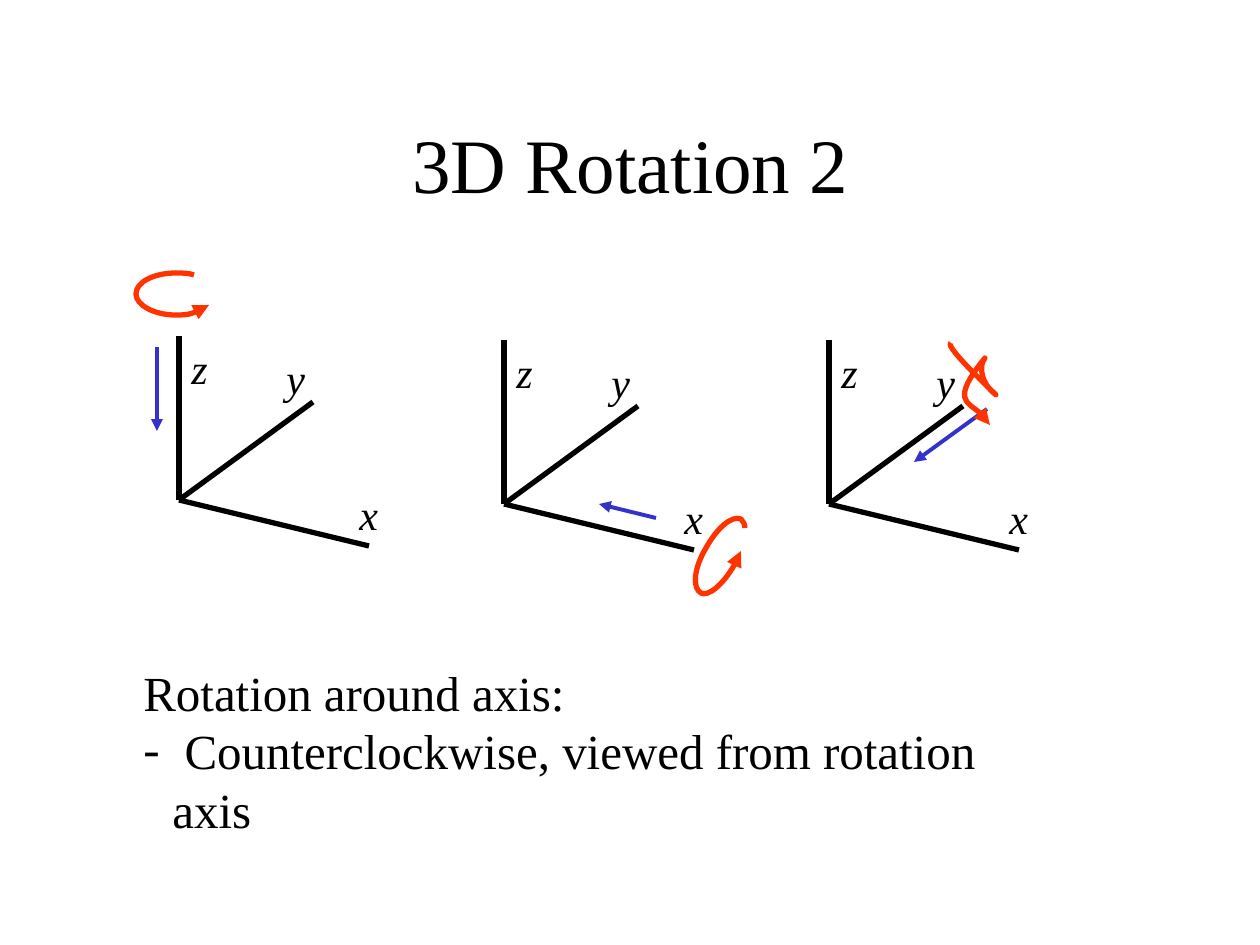
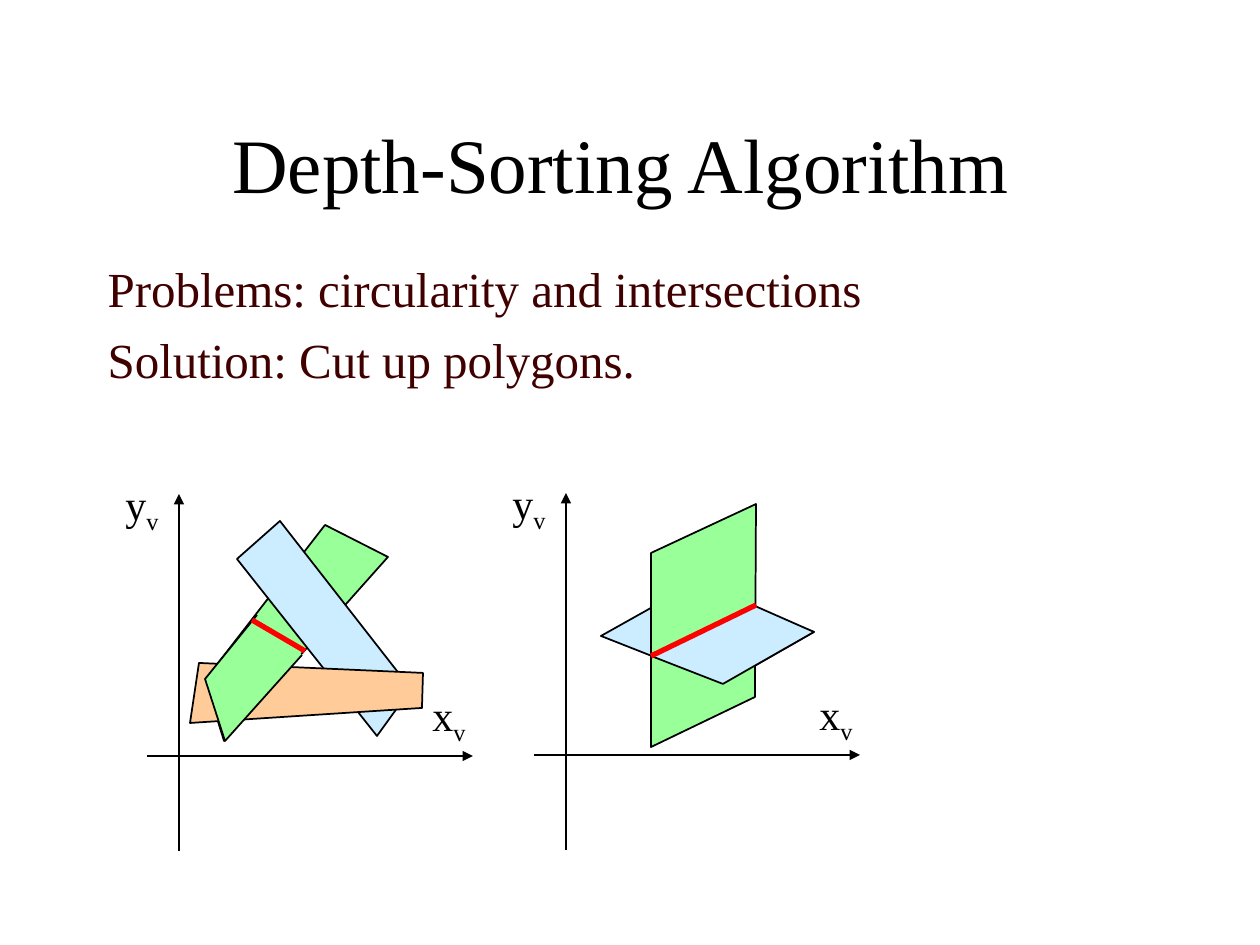
from dataclasses import dataclass

from lxml import etree
from pptx import Presentation
from pptx import util as u
from pptx.dml.color import RGBColor
from pptx.enum import shapes, text
from pptx.oxml import ns

PX = 914400 / 126  # EMU in one px


@dataclass(frozen=True)
class Theme:
    font: str = "Times New Roman"
    ink: str = "000000"
    body: str = "400000"
    view: str = "3333CC"
    turn: str = "FF3300"
    cut: str = "FF0000"
    blue: str = "CCECFF"
    green: str = "99FF99"
    orange: str = "FFCC99"
    title_pt: int = 44
    text_pt: int = 28
    label_pt: int = 24
    thin: float = 1
    medium: float = 2.25
    thick: float = 3


T = Theme()


def emu(*lengths):
    return [u.Emu(round(n * PX)) for n in lengths]


# Shared parts
def add_run(p, words, size, color=T.ink, italic=False, baseline=None):
    r = p.add_run()
    r.text = words
    r.font.name = T.font
    r.font.size = u.Pt(size)
    r.font.italic = italic
    r.font.color.rgb = RGBColor.from_string(color)
    if baseline:
        r.font._element.set("baseline", str(baseline))


def place(sp, box):
    sp.left, sp.top, sp.width, sp.height = emu(*box)


def set_title(slide, words):
    sp = slide.shapes.title
    place(sp, (95, 84, 1071, 158))
    tf = sp.text_frame
    tf.auto_size = text.MSO_AUTO_SIZE.NONE
    tf.vertical_anchor = text.MSO_ANCHOR.MIDDLE
    p = tf.paragraphs[0]
    p.alignment = text.PP_ALIGN.CENTER
    add_run(p, words, T.title_pt)


def add_label(slide, box, letter, subscript=None, italic=False):
    tf = slide.shapes.add_textbox(*emu(*box)).text_frame
    tf.word_wrap = False
    p = tf.paragraphs[0]
    add_run(p, letter, T.label_pt, italic=italic)
    if subscript:
        p.alignment = text.PP_ALIGN.CENTER
        add_run(p, subscript, T.label_pt, baseline=-25000)


def set_line(sp, color, weight, arrow=None):
    """Style a line; arrow is headEnd or tailEnd."""
    sp.line.color.rgb = RGBColor.from_string(color)
    sp.line.width = u.Pt(weight)
    if arrow:
        ln = sp.line._get_or_add_ln()
        etree.SubElement(ln, ns.qn("a:" + arrow), type="triangle")


def add_line(slide, origin, start, end, color, weight, arrow=None):
    x, y = origin
    ends = emu(x + start[0], y + start[1], x + end[0], y + end[1])
    sp = slide.shapes.add_connector(shapes.MSO_CONNECTOR.STRAIGHT, *ends)
    set_line(sp, color, weight, arrow)
    etree.SubElement(sp._element.spPr, ns.qn("a:effectLst"))


def add_outline(slide, origin, points, close):
    x, y = origin
    moved = [(x + dx, y + dy) for dx, dy in points]
    builder = slide.shapes.build_freeform(*moved[0], scale=PX)
    builder.add_line_segments(moved[1:], close=close)
    sp = builder.convert_to_shape()
    sp.shadow.inherit = False
    return sp


def add_polygon(slide, origin, points, fill, close=True):
    sp = add_outline(slide, origin, points, close)
    sp.fill.solid()
    sp.fill.fore_color.rgb = RGBColor.from_string(fill)
    set_line(sp, T.ink, T.thin)


def add_curve(slide, origin, points, arrow):
    """Draw a start point followed by triples of Bezier points."""
    sp = add_outline(slide, origin, points, False)
    sp.fill.background()
    set_line(sp, T.turn, T.thick, arrow)
    segments = list(sp._element.iter(ns.qn("a:lnTo")))
    for i in range(0, len(segments), 3):
        bezier = etree.Element(ns.qn("a:cubicBezTo"))
        segments[i].addprevious(bezier)
        for segment in segments[i:i + 3]:
            bezier.append(segment[0])
            segment.getparent().remove(segment)


# Slide 1: rotation about each axis
AXIS_TIPS = [(0, -164), (190, 46), (134, -98)]
AXIS_LABELS = [("z", (0, -164, 42, 63)), ("x", (168, -18, 44, 63)),
               ("y", (95, -154, 44, 63))]
# origin, viewing arrow, rotation curve, arrowhead end
ROTATIONS = [
    ((179, 500), ((-22, -153), (-22, -69)),
     [(30, -195), (23, -189), (10, -185), (-3, -185),
      (-25, -185), (-43, -195), (-43, -206),
      (-43, -218), (-25, -227), (-3, -227),
      (3, -227), (10, -227), (15, -225)], "headEnd"),
    ((504, 504), ((152, 14), (95, 0)),
     [(237, 47), (236, 51), (233, 55), (231, 60),
      (219, 81), (204, 93), (197, 89),
      (188, 84), (190, 64), (202, 44),
      (213, 24), (228, 11), (237, 15),
      (239, 17), (241, 20), (241, 24)], "headEnd"),
    ((829, 504), ((158, -95), (85, -42)),
     [(122, -161), (113, -159), (175, -102), (166, -110),
      (153, -120), (149, -137), (156, -146),
      (121, -103), (139, -102), (151, -91),
      (156, -87), (159, -83), (161, -79)], "tailEnd"),
]


def add_rotation(slide, origin, view, curve, arrow):
    for tip in AXIS_TIPS:
        add_line(slide, origin, (0, 0), tip, T.ink, T.thick)
    for letter, (dx, dy, w, h) in AXIS_LABELS:
        add_label(slide, (origin[0] + dx, origin[1] + dy, w, h), letter,
                  italic=True)
    add_line(slide, origin, *view, T.view, T.medium, "tailEnd")
    add_curve(slide, origin, curve, arrow)


def add_rotation_note(slide, box):
    tf = slide.shapes.add_textbox(*emu(*box)).text_frame
    tf.word_wrap = True
    add_run(tf.paragraphs[0], "Rotation around axis:", T.text_pt)
    p = tf.add_paragraph()
    pPr = p._p.get_or_add_pPr()
    indent = emu(29)[0]
    pPr.set("marL", str(indent))
    pPr.set("indent", str(-indent))
    etree.SubElement(pPr, ns.qn("a:buFont"), typeface=T.font)
    etree.SubElement(pPr, ns.qn("a:buChar"), char="-")
    add_run(p, " Counterclockwise, viewed from rotation axis", T.text_pt)


def rotation_slide(prs):
    slide = prs.slides.add_slide(prs.slide_layouts[5])
    set_title(slide, "3D Rotation 2")
    for rotation in ROTATIONS:
        add_rotation(slide, *rotation)
    add_rotation_note(slide, (131, 656, 935, 190))


# Slide 2: polygons that cannot be sorted by depth
def add_view_axes(slide, origin):
    x, y = origin
    add_line(slide, origin, (-32, 0), (294, 0), T.ink, T.thin, "tailEnd")
    add_line(slide, origin, (0, -262), (0, 95), T.ink, T.thin, "headEnd")
    add_label(slide, (x + 241, y - 73, 58, 71), "x", "v")
    add_label(slide, (x - 66, y - 284, 58, 71), "y", "v")


def add_circularity(slide, origin):
    add_view_axes(slide, origin)
    add_polygon(slide, origin,
                [(146, -231), (26, -76), (45, -15), (209, -199)], T.green)
    add_polygon(slide, origin,
                [(58, -197), (198, -20), (232, -67), (101, -235)], T.blue)
    add_polygon(slide, origin,
                [(11, -33), (243, -48), (244, -83), (20, -93)], T.orange)
    add_polygon(slide, origin,
                [(78, -141), (26, -77), (46, -15), (123, -101)], T.green,
                close=False)
    add_line(slide, origin, (126, -105), (73, -136), T.cut, T.thick)


def add_intersection(slide, origin):
    add_view_axes(slide, origin)
    near, right = (157, -71), (248, -123)
    add_polygon(slide, origin,
                [(35, -119), near, right, (126, -170)], T.blue)
    add_polygon(slide, origin,
                [(190, -251), (85, -202), (85, -8), (189, -58)], T.green)
    add_polygon(slide, origin,
                [(85, -99), near, right, (189, -149)], T.blue)
    add_line(slide, origin, (190, -150), (85, -99), T.cut, T.thick)


def set_body(slide, box, lines):
    sp = slide.placeholders[1]
    place(sp, box)
    tf = sp.text_frame
    tf.auto_size = text.MSO_AUTO_SIZE.NONE
    for i, words in enumerate(lines):
        p = tf.add_paragraph() if i else tf.paragraphs[0]
        pPr = p._p.get_or_add_pPr()
        pPr.set("marL", "0")
        pPr.set("indent", "0")
        etree.SubElement(pPr, ns.qn("a:buNone"))
        p.space_before = u.Pt(7 if i else 0)
        add_run(p, words, T.text_pt, T.body)


def depth_sorting_slide(prs):
    slide = prs.slides.add_slide(prs.slide_layouts[1])
    set_title(slide, "Depth-Sorting Algorithm ")
    set_body(slide, (95, 252, 914, 168),
             ["Problems: circularity and intersections",
              "Solution: Cut up polygons."])
    add_circularity(slide, (179, 756))
    add_intersection(slide, (566, 755))


def main():
    prs = Presentation()
    prs.slide_width, prs.slide_height = emu(1260, 945)
    rotation_slide(prs)
    depth_sorting_slide(prs)
    prs.save("out.pptx")


if __name__ == "__main__":
    main()
